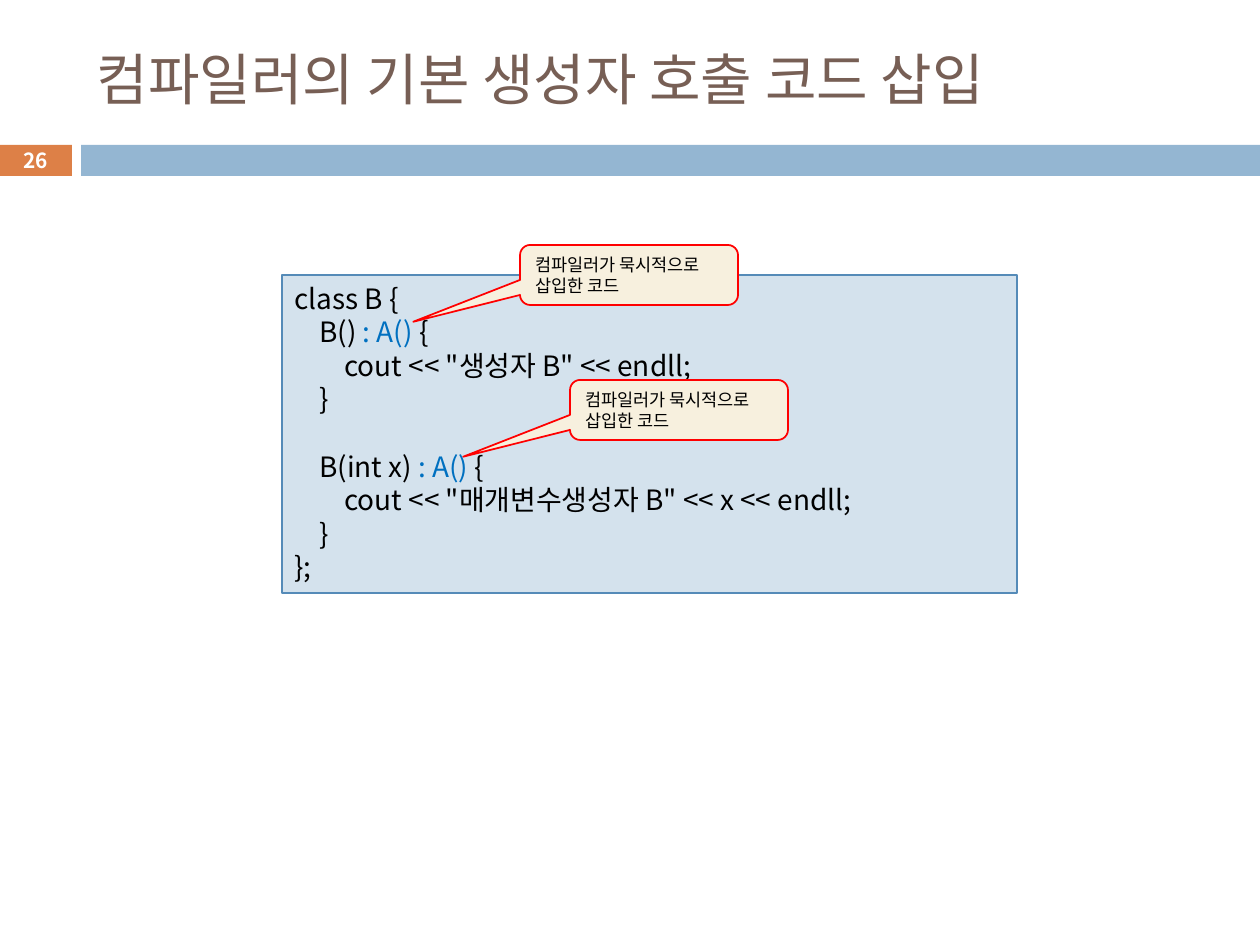
from lxml import etree
from pptx import Presentation
from pptx.dml.color import RGBColor
from pptx.enum.shapes import MSO_SHAPE
from pptx.enum.text import MSO_ANCHOR, MSO_AUTO_SIZE, PP_ALIGN
from pptx.oxml.ns import qn
from pptx.util import Pt

RECT = MSO_SHAPE.RECTANGLE
CALLOUT = MSO_SHAPE.ROUNDED_RECTANGULAR_CALLOUT
TOP, MIDDLE = MSO_ANCHOR.TOP, MSO_ANCHOR.MIDDLE
LEFT, CENTER = PP_ALIGN.LEFT, PP_ALIGN.CENTER
FIXED = MSO_AUTO_SIZE.NONE

BROWN = RGBColor(0x77, 0x5F, 0x55)
ORANGE = RGBColor(0xDD, 0x80, 0x47)
BLUE = RGBColor(0x94, 0xB6, 0xD2)
PALE = RGBColor(0xD4, 0xE2, 0xED)
EDGE = RGBColor(0x55, 0x8B, 0xB8)
CREAM = RGBColor(0xF7, 0xF0, 0xDE)
RED = RGBColor(0xFF, 0x00, 0x00)
INK = RGBColor(0x00, 0x00, 0x00)
MARK = RGBColor(0x00, 0x70, 0xC0)
WHITE = RGBColor(0xFF, 0xFF, 0xFF)

FONT = "Noto Sans CJK KR"
LEADING = 1.2
TAB = 25
CALL = ": A() "
NOTE = "컴파일러가 묵시적으로 삽입한 코드"
CODE = [
    ["class B {"],
    ["\tB() ", CALL, "{"],
    ['\t\tcout << "생성자 B" << endll;'],
    ["\t}"],
    ["\tB(int x) ", CALL, "{"],
    ['\t\tcout << "매개변수생성자 B" << x << endll;'],
    ["\t}"],
    ["};"],
]
GAP_ROW = 4


def px(n):
    """Turn pixels into EMU."""
    return round(n * 914400 / 126)


def place(shape, box):
    """Move a shape to a pixel box."""
    shape.left, shape.top, shape.width, shape.height = map(px, box)


def add_run(para, text, size, color, bold=False):
    """Add one formatted run."""
    run = para.add_run()
    run.text = text
    font = run.font
    font.name, font.size, font.bold = FONT, Pt(size), bold
    font.color.rgb = color
    etree.SubElement(font._element, qn("a:ea"), typeface=FONT)


def set_frame(shape, anchor):
    """Prepare a text frame and return it."""
    frame = shape.text_frame
    frame.word_wrap = True
    frame.auto_size = FIXED
    frame.vertical_anchor = anchor
    return frame


def add_box(slide, kind, box, fill, line=None, width=1):
    """Draw a filled preset shape."""
    shape = slide.shapes.add_shape(kind, *map(px, box))
    shape.shadow.inherit = False
    shape.fill.solid()
    shape.fill.fore_color.rgb = fill
    if line is None:
        shape.line.fill.background()
    else:
        shape.line.color.rgb = line
        shape.line.width = Pt(width)
    return shape


def add_title(slide, box, text):
    """Fill the title placeholder."""
    title = slide.shapes.title
    place(title, box)
    para = set_frame(title, MIDDLE).paragraphs[0]
    para.alignment = LEFT
    add_run(para, text, 32, BROWN)


def add_band(slide, box, number):
    """Draw the page number and the band beside it."""
    x, y, w, h = box
    tag, gap = 73, 9
    badge = add_box(slide, RECT, (x, y, tag, h), ORANGE)
    add_box(slide, RECT, (x + tag + gap, y, w - tag - gap, h), BLUE)
    frame = set_frame(badge, MIDDLE)
    frame.margin_top = frame.margin_bottom = 0
    para = frame.paragraphs[0]
    para.alignment = CENTER
    add_run(para, number, 11.9, WHITE, True)


def set_tabs(para):
    """Set the two code indents as tab stops."""
    props = para._p.get_or_add_pPr()
    tabs = etree.SubElement(props, qn("a:tabLst"))
    for level in (1, 2):
        etree.SubElement(tabs, qn("a:tab"), pos=str(px(level * TAB)), algn="l")


def add_code(slide, box, rows):
    """Draw the code panel."""
    size = 16
    frame = set_frame(add_box(slide, RECT, box, PALE, EDGE, 0.75), TOP)
    for i, row in enumerate(rows):
        para = frame.add_paragraph() if i else frame.paragraphs[0]
        para.alignment = LEFT
        para.line_spacing = Pt(size * LEADING)
        if i == GAP_ROW:
            para.space_before = Pt(size * LEADING)
        set_tabs(para)
        for text in row:
            add_run(para, text, size, MARK if text == CALL else INK)


def add_note(slide, box):
    """Draw a callout that points down and left."""
    size = 10
    note = add_box(slide, CALLOUT, box, CREAM, RED)
    for i, value in enumerate((-0.99, 0.78, 0.17)):
        note.adjustments[i] = value
    para = set_frame(note, MIDDLE).paragraphs[0]
    para.alignment = LEFT
    para.line_spacing = Pt(size * LEADING)
    add_run(para, NOTE, size, INK)


def main():
    """Build the slide."""
    deck = Presentation()
    deck.slide_width, deck.slide_height = px(1260), px(945)
    slide = deck.slides.add_slide(deck.slide_layouts[5])
    add_band(slide, (-1, 145, 1261, 31), "26")
    add_title(slide, (84, 32, 1124, 93), "컴파일러의 기본 생성자 호출 코드 삽입")
    panel = (282, 275, 735, 318)
    add_code(slide, panel, CODE)
    for dx, dy in ((238, -30), (288, 105)):
        add_note(slide, (panel[0] + dx, panel[1] + dy, 218, 60))
    deck.save("out.pptx")


if __name__ == "__main__":
    main()
